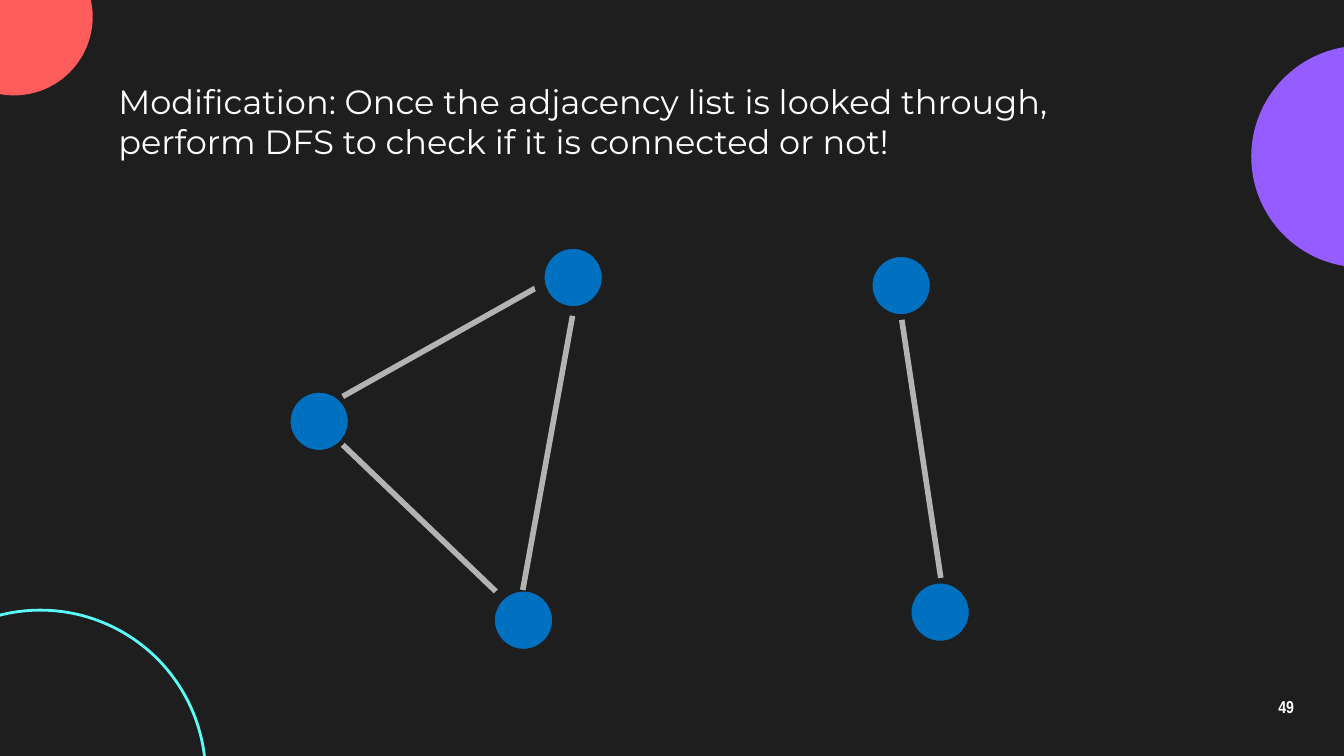
from pptx import Presentation
from pptx.dml.color import RGBColor
from pptx.enum.shapes import MSO_CONNECTOR as Connector, MSO_SHAPE as Shape
from pptx.enum.text import MSO_ANCHOR as Anchor, MSO_AUTO_SIZE as AutoSize, PP_ALIGN as Align
from pptx.oxml.ns import qn
from pptx.util import Inches, Pt

DARK = RGBColor(0x1E, 0x1E, 0x1E)
WHITE = RGBColor(0xFF, 0xFF, 0xFF)
PURPLE = RGBColor(0x95, 0x5C, 0xFF)
CORAL = RGBColor(0xFF, 0x5C, 0x5C)
CYAN = RGBColor(0x5C, 0xFF, 0xF8)
BLUE = RGBColor(0x00, 0x70, 0xC0)
GRAY = RGBColor(0xB3, 0xB3, 0xB3)
NODE_SIZE = 0.51

deck = Presentation()
deck.slide_width = Inches(10)
deck.slide_height = Inches(10 * 9 / 16)
slide = deck.slides.add_slide(deck.slide_layouts[5])
slide.background.fill.solid()
slide.background.fill.fore_color.rgb = DARK


def add_circle(left, top, size, fill=None, line=None, width=0):
    circle = slide.shapes.add_shape(
        Shape.OVAL, Inches(left), Inches(top), Inches(size), Inches(size))
    circle.shadow.inherit = False
    for part, color in ((circle.fill, fill), (circle.line.fill, line)):
        if color is None:
            part.background()
        else:
            part.solid()
            part.fore_color.rgb = color
    if line is not None:
        circle.line.width = Pt(width)


def add_edge(x1, y1, x2, y2):
    edge = slide.shapes.add_connector(
        Connector.STRAIGHT, Inches(x1), Inches(y1), Inches(x2), Inches(y2))
    edge.line.color.rgb = GRAY
    edge.line.width = Pt(3)
    properties = edge._element.spPr
    properties.append(properties.makeelement(qn("a:effectLst"), {}))


add_circle(9.31, 0.34, 1.65, fill=PURPLE)
add_circle(-0.48, -0.46, 1.17, fill=CORAL)
add_circle(-0.93, 4.54, 2.46, line=CYAN, width=1.5)

title = slide.shapes.title
title.left, title.top = Inches(0.78), Inches(0.5)
title.width, title.height = Inches(7.92), Inches(0.51)
title.text_frame.text = ("Modification: Once the adjacency list is looked through, "
                         "perform DFS to check if it is connected or not!")
number = slide.shapes.add_textbox(Inches(9.27), Inches(5.1), Inches(0.6), Inches(0.34))
number.text_frame.text = "49"

for box, font_name, size, bold, align, anchor, spacing in (
    (title, "Montserrat", 18, False, Align.LEFT, Anchor.TOP, 1.0),
    (number, "Arial Narrow", 9.2, True, Align.CENTER, Anchor.MIDDLE, 0.9),
):
    frame = box.text_frame
    frame.word_wrap = True
    frame.auto_size = AutoSize.NONE
    frame.vertical_anchor = anchor
    frame.margin_left = frame.margin_right = Inches(0.1)
    frame.margin_top = frame.margin_bottom = Inches(0.1)
    para = frame.paragraphs[0]
    para.alignment = align
    para.line_spacing = spacing
    para.font.name = font_name
    para.font.size = Pt(size)
    para.font.bold = bold
    para.font.color.rgb = WHITE

graph = (
    ("node", 2.12, 2.88),
    ("edge", 2.55, 2.95, 4.01, 2.13),
    ("node", 4.01, 1.81),
    ("edge", 3.72, 4.43, 2.55, 3.31),
    ("node", 6.45, 1.87),
    ("node", 3.64, 4.36),
    ("node", 6.74, 4.3),
    ("edge", 6.71, 2.38, 7, 4.3),
    ("edge", 3.89, 4.39, 4.26, 2.35),
)
for kind, *place in graph:
    if kind == "node":
        add_circle(*place, NODE_SIZE, fill=BLUE, line=DARK, width=6)
    else:
        add_edge(*place)

deck.save("out.pptx")
